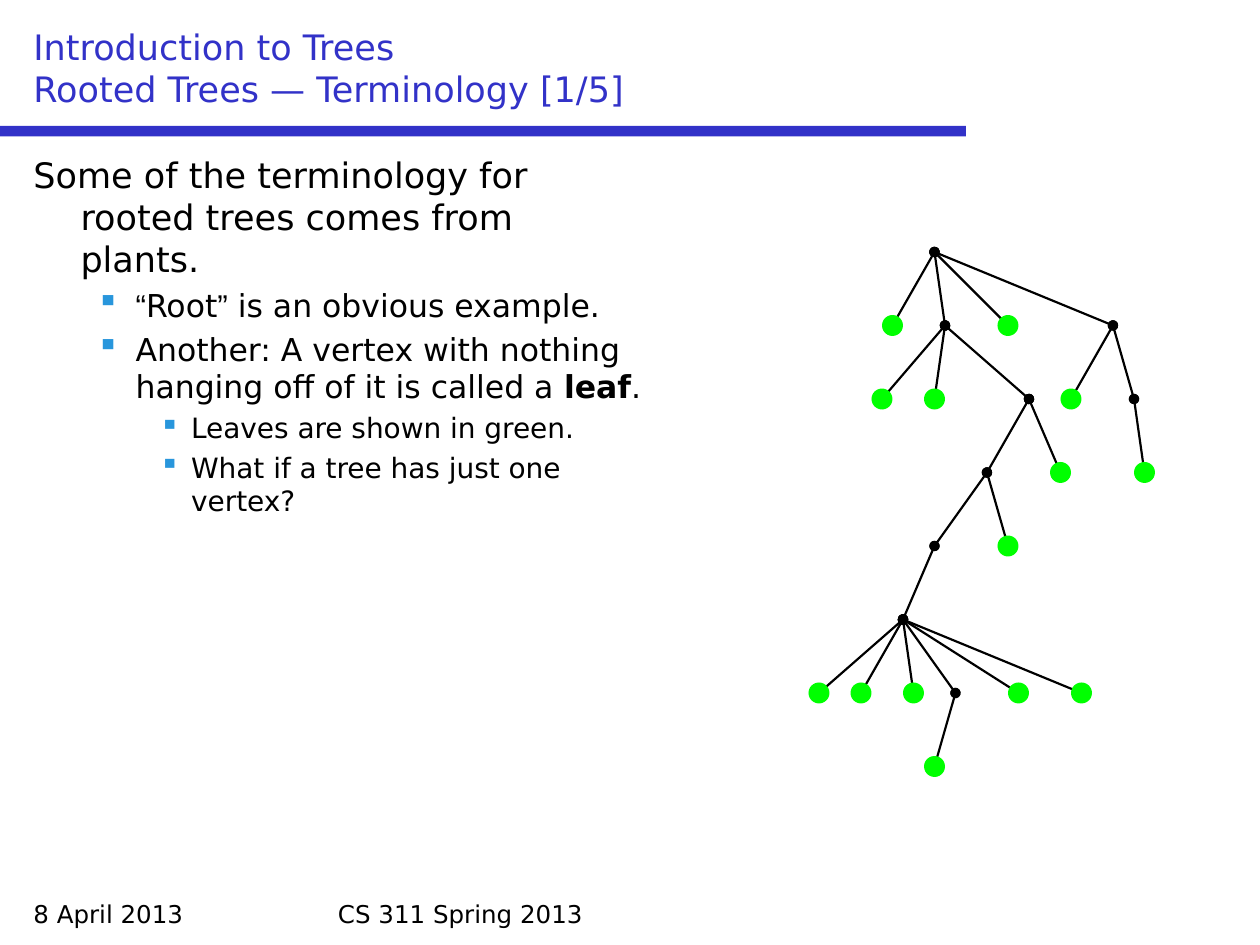
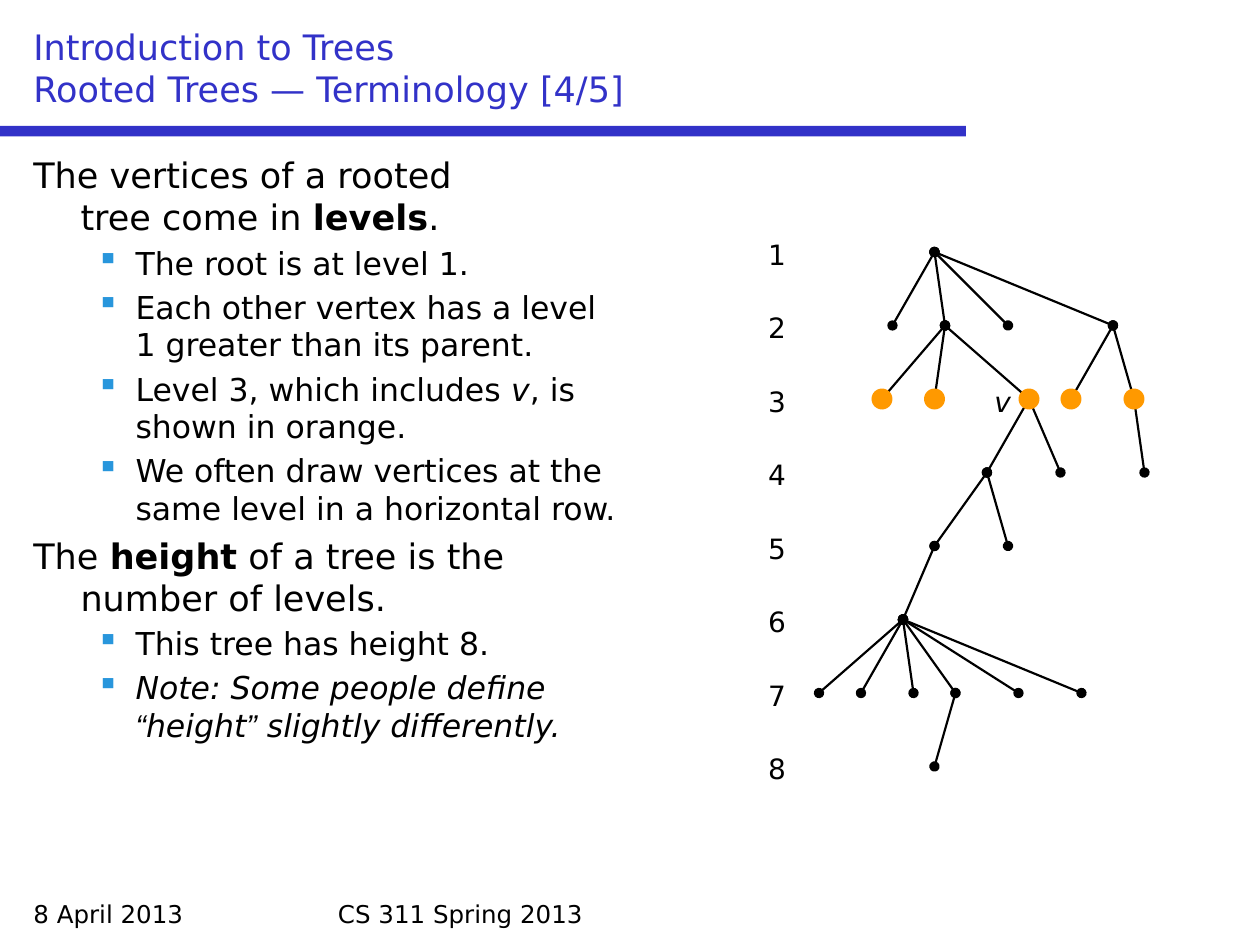
from lxml import etree
from pptx import Presentation
from pptx.dml.color import RGBColor
from pptx.enum.shapes import MSO_CONNECTOR, MSO_SHAPE
from pptx.enum.text import MSO_ANCHOR, PP_ALIGN
from pptx.oxml.ns import qn
from pptx.util import Cm, Pt

STRAIGHT = MSO_CONNECTOR.STRAIGHT
RECTANGLE = MSO_SHAPE.RECTANGLE
OVAL = MSO_SHAPE.OVAL
TOP, BOTTOM = MSO_ANCHOR.TOP, MSO_ANCHOR.BOTTOM
LEFT, CENTER = PP_ALIGN.LEFT, PP_ALIGN.CENTER

BLUE = RGBColor(0x32, 0x32, 0xC8)
BLACK = RGBColor(0, 0, 0)
GREEN = RGBColor(0, 0xFF, 0)
ORANGE = RGBColor(0xFF, 0x99, 0)
BULLET_BLUE = RGBColor(0x28, 0x96, 0xDC)

FONT = "DejaVu Sans"
QUOTE_FONT = "Arial"

LEVEL_SIZES = [20, 18, 16]
LEVEL_MARGINS = [0.95, 2.06, 3.18]
LEVEL_HANGS = [0.95, 0.79, 0.64]

ROOT = (1, 89)
CHILD_COLUMNS = {
    ROOT: [85, 90, 96, 106],
    (2, 90): [84, 89, 98],
    (2, 106): [102, 108],
    (3, 98): [94, 101],
    (3, 108): [109],
    (4, 94): [89, 96],
    (5, 89): [86],
    (6, 86): [78, 82, 87, 91, 97, 103],
    (7, 91): [89],
}
EDGES = [(parent, (parent[0] + 1, column))
         for parent, columns in CHILD_COLUMNS.items() for column in columns]
VERTICES = [ROOT] + [child for _, child in EDGES]
LEAVES = [vertex for vertex in VERTICES if vertex not in CHILD_COLUMNS]
THIRD_LEVEL = [vertex for vertex in VERTICES if vertex[0] == 3]
HEIGHT = max(level for level, _ in VERTICES)


def grid(steps):
    return Cm(steps * 2.54 / 12)


def level_row(level):
    return 17 + 7 * level


class Deck:
    def __init__(self):
        self.presentation = Presentation()
        self.presentation.slide_width = grid(120)
        self.presentation.slide_height = grid(90)
        self.slide = None

    def start_slide(self, subtitle):
        blank = self.presentation.slide_layouts[6]
        self.slide = self.presentation.slides.add_slide(blank)
        self.block(RECTANGLE, 0, 12, 92, 1, BLUE)
        self.label("8 April 2013", 2, 85, 28, 4, 14)
        self.label("CS 311 Spring 2013", 31, 85, 58, 4, 14)
        self.label("Introduction to Trees\n" + subtitle,
                   2, 2, 116, 9, 20, BLUE, anchor=BOTTOM)

    def block(self, kind, left, top, width, height, color):
        shape = self.slide.shapes.add_shape(
            kind, grid(left), grid(top), grid(width), grid(height))
        shape.shadow.inherit = False
        shape.fill.solid()
        shape.fill.fore_color.rgb = color
        shape.line.fill.background()

    def frame(self, left, top, width, height, anchor=TOP):
        frame = self.slide.shapes.add_textbox(
            grid(left), grid(top), grid(width), grid(height)).text_frame
        frame.word_wrap = True
        frame.vertical_anchor = anchor
        return frame

    def fill_paragraph(self, paragraph, pieces, size, color=BLACK, italic=None):
        paragraph.font.name = FONT
        paragraph.font.size = Pt(size)
        paragraph.font.color.rgb = color
        paragraph.font.italic = italic
        for piece in pieces:
            text, style = (piece, "") if isinstance(piece, str) else piece
            for number, line in enumerate(text.split("\n")):
                if number:
                    paragraph.add_line_break()
                if not line:
                    continue
                run = paragraph.add_run()
                run.text = line
                if style == "bold":
                    run.font.bold = True
                elif style == "italic":
                    run.font.italic = True
                elif style == "quote":
                    run.font.name = QUOTE_FONT

    def label(self, text, left, top, width, height, size, color=BLACK,
              align=LEFT, anchor=TOP, italic=None):
        frame = self.frame(left, top, width, height, anchor)
        if align == CENTER:
            frame.margin_left = frame.margin_right = 0
        paragraph = frame.paragraphs[0]
        paragraph.alignment = align
        self.fill_paragraph(paragraph, [text], size, color, italic)

    def body(self, items):
        frame = self.frame(2, 14, 116, 70)
        for number, (level, pieces, *italic) in enumerate(items):
            paragraph = frame.add_paragraph() if number else frame.paragraphs[0]
            size = LEVEL_SIZES[level]
            paragraph.level = level
            if number:
                paragraph.space_before = Pt(size * 0.2)
            properties = paragraph._p.get_or_add_pPr()
            properties.set("marL", str(Cm(LEVEL_MARGINS[level])))
            properties.set("indent", str(-Cm(LEVEL_HANGS[level])))
            if level:
                bullet_color = etree.SubElement(properties, qn("a:buClr"))
                etree.SubElement(bullet_color, qn("a:srgbClr"),
                                 val=str(BULLET_BLUE))
                etree.SubElement(properties, qn("a:buChar"), char="▪")
            self.fill_paragraph(paragraph, pieces, size,
                                italic=True if italic else None)

    def edge(self, parent, child):
        (parent_level, parent_column), (child_level, child_column) = parent, child
        line = self.slide.shapes.add_connector(
            STRAIGHT, grid(parent_column), grid(level_row(parent_level)),
            grid(child_column), grid(level_row(child_level)))
        line.line.color.rgb = BLACK
        line.line.width = Pt(1.25)
        outline = line.line._get_or_add_ln()
        etree.SubElement(outline, qn("a:headEnd"), type="oval")
        etree.SubElement(outline, qn("a:tailEnd"), type="oval")
        etree.SubElement(line._element.spPr, qn("a:effectLst"))

    def tree(self, highlighted, color):
        for parent, child in EDGES:
            self.edge(parent, child)
        for level, column in highlighted:
            self.block(OVAL, column - 1, level_row(level) - 1, 2, 2, color)

    def level_numbers(self):
        for level in range(1, HEIGHT + 1):
            self.label(str(level), 72, level_row(level) - 2, 4, 4.4, 16,
                       align=CENTER)


def main():
    deck = Deck()

    deck.start_slide("Rooted Trees — Terminology [1/5]")
    deck.body([
        (0, ["Some of the terminology for\nrooted trees comes from\nplants."]),
        (1, [("“", "quote"), "Root", ("”", "quote"), " is an obvious example."]),
        (1, ["Another: A vertex with nothing\nhanging off of it is called a ",
             ("leaf", "bold"), "."]),
        (2, ["Leaves are shown in green."]),
        (2, ["What if a tree has just one\nvertex?"]),
    ])
    deck.tree(LEAVES, GREEN)

    deck.start_slide("Rooted Trees — Terminology [4/5]")
    deck.body([
        (0, ["The vertices of a rooted\ntree come in ", ("levels", "bold"), "."]),
        (1, ["The root is at level 1."]),
        (1, ["Each other vertex has a level\n1 greater than its parent."]),
        (1, ["Level 3, which includes ", ("v", "italic"),
             ", is\nshown in orange."]),
        (1, ["We often draw vertices at the\nsame level in a horizontal row."]),
        (0, ["The ", ("height", "bold"), " of a tree is the\nnumber of levels."]),
        (1, ["This tree has height 8."]),
        (1, ["Note: Some people define\n", ("“", "quote"), "height",
             ("”", "quote"), " slightly differently."], "italic"),
    ])
    deck.tree(THIRD_LEVEL, ORANGE)
    deck.label("v", 92, level_row(3) - 2, 7, 4.4, 16, align=CENTER, italic=True)
    deck.level_numbers()

    deck.presentation.save("out.pptx")


if __name__ == "__main__":
    main()
